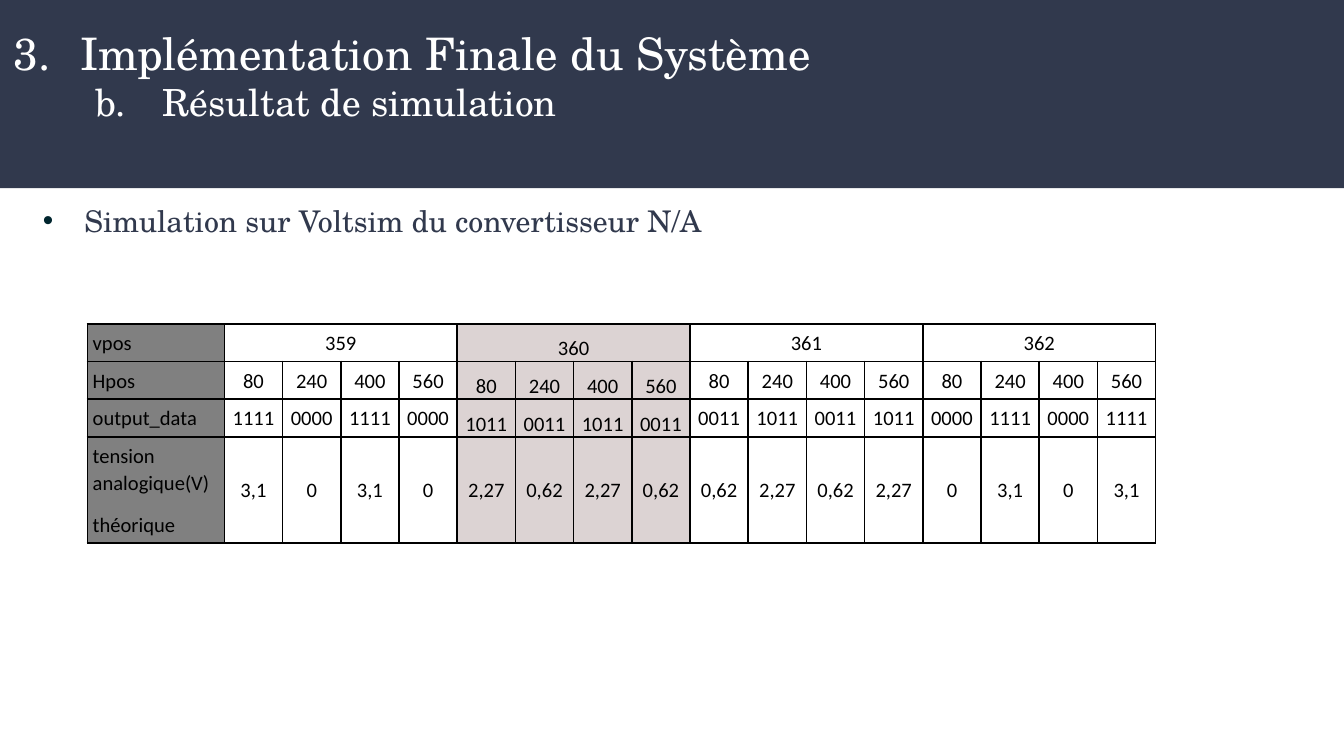
from lxml import etree
from pptx import Presentation
from pptx.dml.color import RGBColor
from pptx.enum.shapes import MSO_SHAPE
from pptx.enum.text import MSO_ANCHOR, PP_ALIGN
from pptx.oxml.ns import qn
from pptx.util import Inches, Pt

RECTANGLE = MSO_SHAPE.RECTANGLE
BOTTOM, MIDDLE, TOP = MSO_ANCHOR.BOTTOM, MSO_ANCHOR.MIDDLE, MSO_ANCHOR.TOP
LEFT, CENTER = PP_ALIGN.LEFT, PP_ALIGN.CENTER

NAVY = RGBColor(0x31, 0x39, 0x4D)
BULLET_DARK = RGBColor(0x00, 0x25, 0x2E)
WHITE = RGBColor(0xFF, 0xFF, 0xFF)
BLACK = RGBColor(0x00, 0x00, 0x00)
GRAY = RGBColor(0x80, 0x80, 0x80)
PINK = RGBColor(0xDC, 0xD3, 0xD3)
HEADING_FONT, TABLE_FONT, BULLET_FONT = "TeX Gyre Schola", "Calibri", "Arial"

SLIDE_WIDTH = Inches(10)
SLIDE_HEIGHT = SLIDE_WIDTH * 9 // 16

# text, size, text colour, bullet colour, left margin, hanging indent, bullet tag, attributes
TITLE_LINES = [
    ("Implémentation Finale du Système", 24, WHITE, WHITE, 0.5, 0.5,
     "a:buAutoNum", {"type": "arabicPeriod", "startAt": "3"}),
    ("Résultat de simulation", 20, WHITE, WHITE, 1.11, 0.5,
     "a:buAutoNum", {"type": "alphaLcPeriod", "startAt": "2"}),
]
SUBTITLE_LINES = [
    ("Simulation sur Voltsim du convertisseur N/A", 16, NAVY, BULLET_DARK, 0.31, 0.31,
     "a:buChar", {"char": "•"}),
]

ROW_LABELS = [["vpos"], ["Hpos"], ["output_data"], ["tension analogique(V)", "théorique"]]
HPOS = ["80", "240", "400", "560"]
# vpos and the output_data of its four positions
GROUPS = [
    ("359", ["1111", "0000", "1111", "0000"]),
    ("360", ["1011", "0011", "1011", "0011"]),
    ("361", ["0011", "1011", "0011", "1011"]),
    ("362", ["0000", "1111", "0000", "1111"]),
]
VOLTAGES = {"1111": "3,1", "1011": "2,27", "0011": "0,62", "0000": "0"}
HIGHLIGHTED = "360"
TABLE_WIDTH, LABEL_WIDTH = 7.95, 1.02
ROW_HEIGHTS = [0.28, 0.28, 0.28, 0.79]


def add_run(paragraph, text, size, font_name, color):
    run = paragraph.add_run()
    run.text = text
    run.font.size = Pt(size)
    run.font.name = font_name
    run.font.color.rgb = color


def add_list_box(slide, left, top, width, height, lines):
    frame = slide.shapes.add_textbox(
        Inches(left), Inches(top), Inches(width), Inches(height)).text_frame
    frame.word_wrap = True
    frame.vertical_anchor = TOP
    frame.margin_left = frame.margin_right = Inches(0.1)
    frame.margin_top = frame.margin_bottom = Inches(0.1)
    for index, (text, size, color, bullet_color, margin, hanging, tag, attributes) in enumerate(lines):
        paragraph = frame.add_paragraph() if index else frame.paragraphs[0]
        properties = paragraph._p.get_or_add_pPr()
        properties.set("marL", str(Inches(margin)))
        properties.set("indent", str(-Inches(hanging)))
        bullet_fill = etree.SubElement(properties, qn("a:buClr"))
        etree.SubElement(bullet_fill, qn("a:srgbClr"), val=str(bullet_color))
        if tag == "a:buChar":
            etree.SubElement(properties, qn("a:buFont"), typeface=BULLET_FONT)
        etree.SubElement(properties, qn(tag), attributes)
        add_run(paragraph, text, size, HEADING_FONT, color)


def add_borders(cell):
    properties = cell._tc.get_or_add_tcPr()
    for side in ("a:lnL", "a:lnR", "a:lnT", "a:lnB"):
        line = etree.SubElement(properties, qn(side), w=str(Pt(1)))
        fill = etree.SubElement(line, qn("a:solidFill"))
        etree.SubElement(fill, qn("a:srgbClr"), val=str(BLACK))


def fill_cell(cell, lines, alignment=CENTER, anchor=BOTTOM, color=None, inset=(0.04, 0.04)):
    cell.margin_left = cell.margin_right = Inches(inset[0])
    cell.margin_top = cell.margin_bottom = Inches(inset[1])
    cell.vertical_anchor = anchor
    if color is None:
        cell.fill.background()
    else:
        cell.fill.solid()
        cell.fill.fore_color.rgb = color
    frame = cell.text_frame
    for index, text in enumerate(lines):
        paragraph = frame.add_paragraph() if index else frame.paragraphs[0]
        paragraph.alignment = alignment
        paragraph.line_spacing = 1.07
        paragraph.space_after = Pt(8)
        add_run(paragraph, text, 11, TABLE_FONT, BLACK)


def add_results_table(slide):
    group_size = len(HPOS)
    value_count = group_size * len(GROUPS)
    value_width = (TABLE_WIDTH - LABEL_WIDTH) / value_count
    table = slide.shapes.add_table(
        len(ROW_LABELS), 1 + value_count, Inches(0.65), Inches(2.41),
        Inches(TABLE_WIDTH), Inches(sum(ROW_HEIGHTS))).table
    table.first_row = table.horz_banding = False
    for index, column in enumerate(table.columns):
        column.width = Inches(value_width if index else LABEL_WIDTH)
    for row, height in zip(table.rows, ROW_HEIGHTS):
        row.height = Inches(height)
    for cell in table.iter_cells():
        add_borders(cell)

    for row, lines in enumerate(ROW_LABELS):
        fill_cell(table.cell(row, 0), lines, alignment=LEFT, color=GRAY)
    for group, (vpos, codes) in enumerate(GROUPS):
        style = {"color": PINK, "inset": (0.02, 0)} if vpos == HIGHLIGHTED else {}
        first = 1 + group * group_size
        table.cell(0, first).merge(table.cell(0, first + group_size - 1))
        fill_cell(table.cell(0, first), [vpos], **style)
        for column, (hpos, code) in enumerate(zip(HPOS, codes), first):
            fill_cell(table.cell(1, column), [hpos], **style)
            fill_cell(table.cell(2, column), [code], **style)
            fill_cell(table.cell(3, column), [VOLTAGES[code]], anchor=MIDDLE, **style)


def main():
    presentation = Presentation()
    presentation.slide_width = SLIDE_WIDTH
    presentation.slide_height = SLIDE_HEIGHT
    slide = presentation.slides.add_slide(presentation.slide_layouts[6])

    banner = slide.shapes.add_shape(RECTANGLE, 0, 0, SLIDE_WIDTH, Inches(1.4))
    banner.shadow.inherit = False
    banner.fill.solid()
    banner.fill.fore_color.rgb = NAVY
    banner.line.fill.background()

    add_list_box(slide, 0, 0.09, 10, 1.22, TITLE_LINES)
    add_results_table(slide)
    add_list_box(slide, 0.22, 1.41, 8.74, 0.43, SUBTITLE_LINES)
    presentation.save("out.pptx")


if __name__ == "__main__":
    main()
